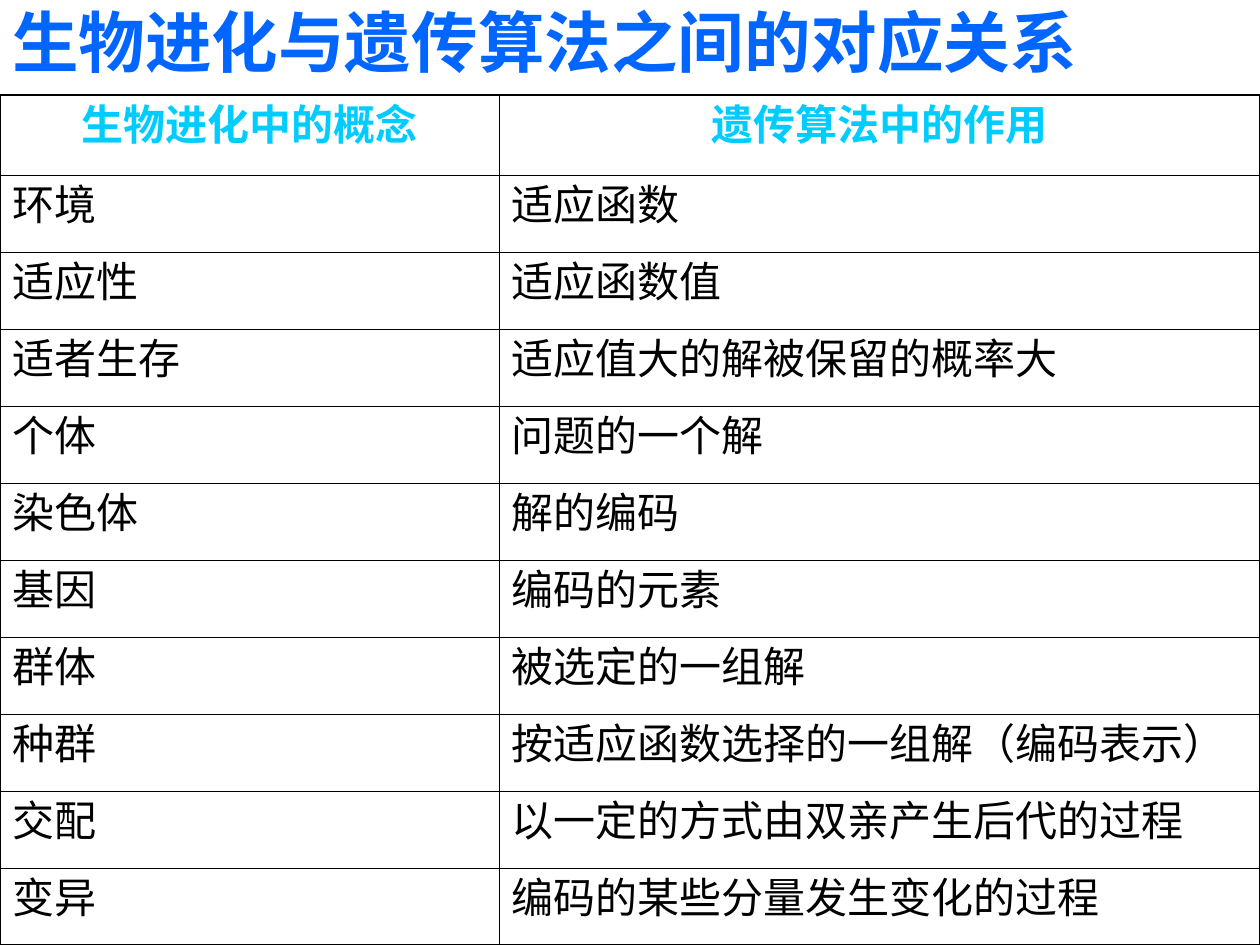
from lxml import etree
from pptx import Presentation, util as u
from pptx.dml.color import RGBColor
from pptx.enum import text as t
from pptx.oxml.ns import qn

FONT = "DejaVu Sans"
TITLE_COLOR, HEADER_COLOR, BODY_COLOR = "0066FF", "00CCFF", "000000"
INNER_LINE, OUTER_LINE = 0.45, 1.08
COLUMN_WIDTHS = (499, 761)
HEADER_HEIGHT, ROW_HEIGHT = 80, 77
CONCEPTS = [
    ("生物进化中的概念", "遗传算法中的作用"),
    ("环境", "适应函数"),
    ("适应性", "适应函数值"),
    ("适者生存", "适应值大的解被保留的概率大"),
    ("个体", "问题的一个解"),
    ("染色体", "解的编码"),
    ("基因", "编码的元素"),
    ("群体", "被选定的一组解"),
    ("种群", "按适应函数选择的一组解（编码表示）"),
    ("交配", "以一定的方式由双亲产生后代的过程"),
    ("变异", "编码的某些分量发生变化的过程"),
]


def px(length):
    """Turn whole pixels, 126 to the inch, into EMU."""
    return u.Emu(round(length * 914400 / 126))


def color(value):
    """Return the colour for a hex string."""
    return RGBColor.from_string(value)


def write(frame, content, size=24, fill=BODY_COLOR, bold=False, align=t.PP_ALIGN.LEFT):
    """Put one formatted paragraph into a text frame."""
    paragraph = frame.paragraphs[0]
    paragraph.alignment = align
    run = paragraph.add_run()
    run.text = content
    run.font.size = u.Pt(size)
    run.font.bold = bold
    run.font.color.rgb = color(fill)
    run.font.name = FONT
    etree.SubElement(run.font._element, qn("a:ea"), typeface=FONT)


def add_title(slide, content):
    """Add the bottom-anchored title."""
    frame = slide.shapes.add_textbox(0, 0, px(1111), px(87)).text_frame
    frame.word_wrap = True
    frame.vertical_anchor = t.MSO_ANCHOR.BOTTOM
    write(frame, content, size=38, fill=TITLE_COLOR, bold=True)


def set_borders(cell, widths):
    """Draw the cell's black borders from a mapping of side to points."""
    properties = cell._tc.get_or_add_tcPr()
    for index, (side, width) in enumerate(widths.items()):
        line = etree.Element(qn(f"a:ln{side}"), w=str(u.Pt(width)))
        fill = etree.SubElement(line, qn("a:solidFill"))
        etree.SubElement(fill, qn("a:srgbClr"), val="000000")
        properties.insert(index, line)


def add_concept_table(slide, rows):
    """Add the two-column table of matching concepts."""
    height = HEADER_HEIGHT + ROW_HEIGHT * (len(rows) - 1)
    table = slide.shapes.add_table(
        len(rows), len(COLUMN_WIDTHS), 0, px(95), px(sum(COLUMN_WIDTHS)), px(height)
    ).table
    table.first_row = table.horz_banding = False
    for column, width in zip(table.columns, COLUMN_WIDTHS):
        column.width = px(width)
    last_row, last_column = len(rows) - 1, len(COLUMN_WIDTHS) - 1
    for i, row in enumerate(rows):
        table.rows[i].height = px(ROW_HEIGHT if i else HEADER_HEIGHT)
        style = {} if i else {"fill": HEADER_COLOR, "bold": True, "align": t.PP_ALIGN.CENTER}
        for j, content in enumerate(row):
            cell = table.cell(i, j)
            cell.fill.background()
            write(cell.text_frame, content, **style)
            outer = {"L": j == 0, "R": j == last_column, "T": i == 0, "B": i == last_row}
            set_borders(cell, {s: OUTER_LINE if edge else INNER_LINE for s, edge in outer.items()})


def main():
    """Build and save the slide."""
    presentation = Presentation()
    presentation.slide_width, presentation.slide_height = px(1260), px(945)
    slide = presentation.slides.add_slide(presentation.slide_layouts[6])
    add_title(slide, "生物进化与遗传算法之间的对应关系")
    add_concept_table(slide, CONCEPTS)
    presentation.save("out.pptx")


if __name__ == "__main__":
    main()
